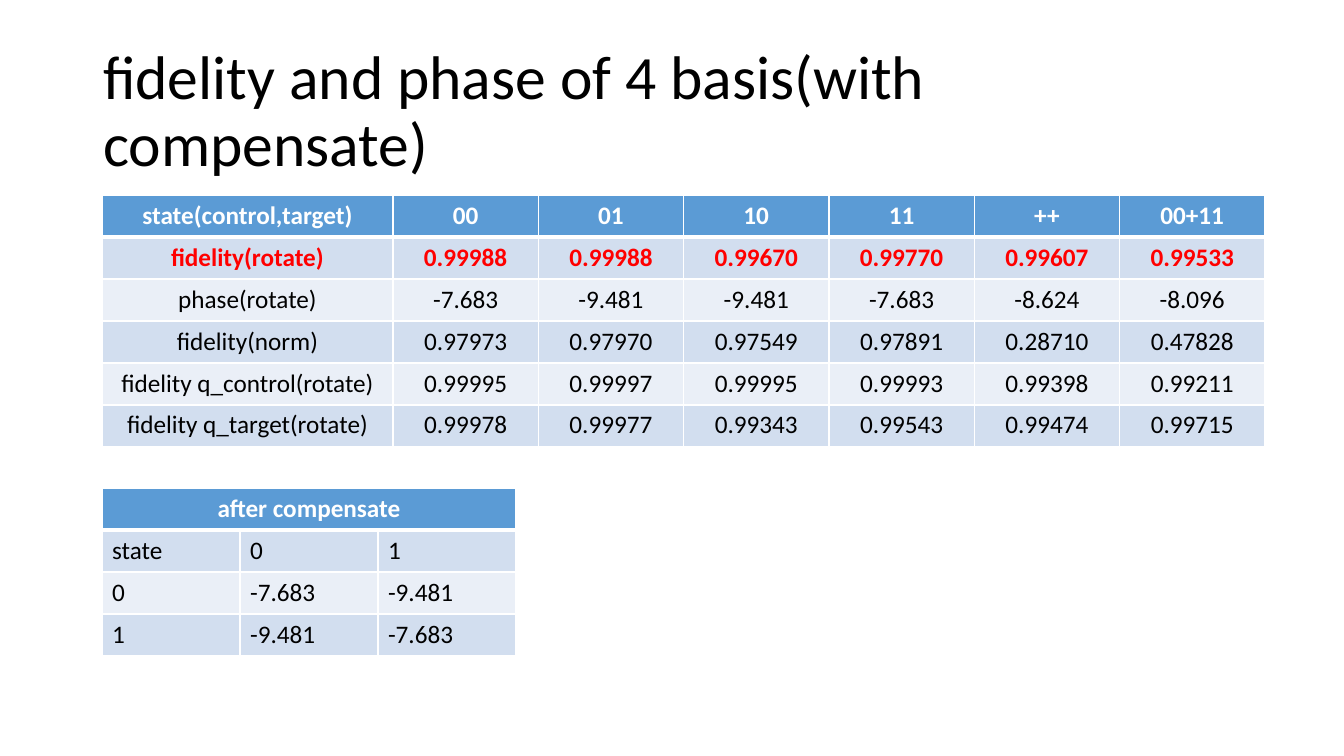
from lxml import etree
from pptx import Presentation
from pptx.dml.color import RGBColor
from pptx.enum.text import MSO_ANCHOR, MSO_AUTO_SIZE, PP_ALIGN
from pptx.oxml.ns import qn
from pptx.util import Pt

LEFT, CENTER = PP_ALIGN.LEFT, PP_ALIGN.CENTER
MIDDLE = MSO_ANCHOR.MIDDLE
NO_AUTOFIT = MSO_AUTO_SIZE.NONE
SCALE = 914400 / 100.8
ROW_HEIGHT = 42
FONT = "Calibri"
COLORS = {
    "header": "5B9BD5",
    "odd_band": "D2DEEF",
    "even_band": "EAEFF7",
    "white": "FFFFFF",
    "black": "000000",
    "highlight": "FF0000",
}


def emu(pixels):
    return round(pixels * SCALE)


def write_text(frame, text, align, size, color, bold):
    frame.text = text
    paragraph = frame.paragraphs[0]
    paragraph.alignment = align
    font = paragraph.runs[0].font
    font.color.rgb = RGBColor.from_string(COLORS[color])
    for name, value in {"name": FONT, "size": Pt(size), "bold": bold}.items():
        setattr(font, name, value)
    return paragraph


deck = Presentation()
deck.slide_width, deck.slide_height = emu(1344), emu(756)
page = deck.slides.add_slide(deck.slide_layouts[5])

title = page.shapes.title
title_place = {"left": 93, "top": 40, "width": 1159, "height": 146}
for name, value in title_place.items():
    setattr(title, name, emu(value))
title_format = {"word_wrap": True, "vertical_anchor": MIDDLE, "auto_size": NO_AUTOFIT}
for name, value in title_format.items():
    setattr(title.text_frame, name, value)
heading = write_text(
    title.text_frame, "fidelity and phase of 4 basis(with compensate)",
    LEFT, 44, "black", False,
)
heading.line_spacing = 0.9

fidelity_rows = [
    ["state(control,target)", "00", "01", "10", "11", "++", "00+11"],
    ["fidelity(rotate)", "0.99988", "0.99988", "0.99670", "0.99770", "0.99607", "0.99533"],
    ["phase(rotate)", "-7.683", "-9.481", "-9.481", "-7.683", "-8.624", "-8.096"],
    ["fidelity(norm)", "0.97973", "0.97970", "0.97549", "0.97891", "0.28710", "0.47828"],
    ["fidelity q_control(rotate)", "0.99995", "0.99997", "0.99995", "0.99993", "0.99398", "0.99211"],
    ["fidelity q_target(rotate)", "0.99978", "0.99977", "0.99343", "0.99543", "0.99474", "0.99715"],
]
compensate_rows = [
    ["after compensate", "", ""],
    ["state", "0", "1"],
    ["0", "-7.683", "-9.481"],
    ["1", "-9.481", "-7.683"],
]
tables = [
    {"rows": fidelity_rows, "top": 195, "width": 1163, "first": 291,
     "align": CENTER, "highlight": 1, "merge_header": False},
    {"rows": compensate_rows, "top": 488, "width": 414, "first": 138,
     "align": LEFT, "highlight": None, "merge_header": True},
]

for layout in tables:
    rows = layout["rows"]
    column_count = len(rows[0])
    table = page.shapes.add_table(
        len(rows), column_count, emu(102), emu(layout["top"]),
        emu(layout["width"]), emu(ROW_HEIGHT * len(rows)),
    ).table
    other_width = (layout["width"] - layout["first"]) / (column_count - 1)
    for index, column in enumerate(table.columns):
        column.width = emu(other_width if index else layout["first"])
    if layout["merge_header"]:
        table.cell(0, 0).merge(table.cell(0, column_count - 1))

    for row_index, row in enumerate(rows):
        is_header = row_index == 0
        is_highlight = row_index == layout["highlight"]
        band = "header" if is_header else "odd_band" if row_index % 2 else "even_band"
        color = "white" if is_header else "highlight" if is_highlight else "black"
        align = CENTER if is_header else layout["align"]
        borders = {
            "a:lnL": 1,
            "a:lnR": 1,
            "a:lnT": 3 if row_index == 1 else 1,
            "a:lnB": 3 if is_header else 1,
        }
        for column_index, text in enumerate(row):
            cell = table.cell(row_index, column_index)
            properties = cell._tc.get_or_add_tcPr()
            for tag, width in borders.items():
                line = etree.SubElement(properties, qn(tag), w=str(Pt(width)))
                solid = etree.SubElement(line, qn("a:solidFill"))
                etree.SubElement(solid, qn("a:srgbClr"), val=COLORS["white"])
            cell.fill.solid()
            cell.fill.fore_color.rgb = RGBColor.from_string(COLORS[band])
            if text:
                write_text(cell.text_frame, text, align, 18, color, is_header or is_highlight)

deck.save("out.pptx")
